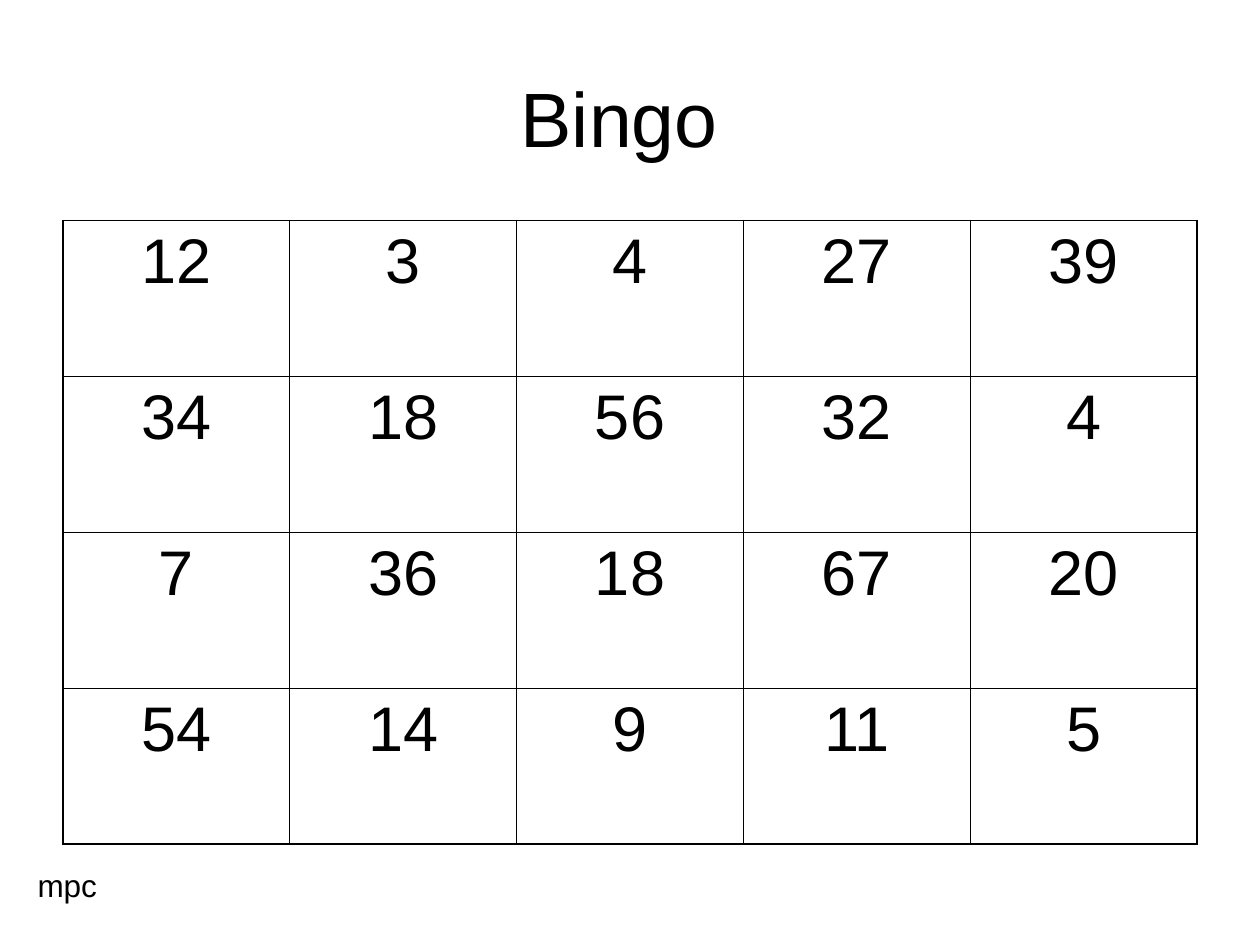
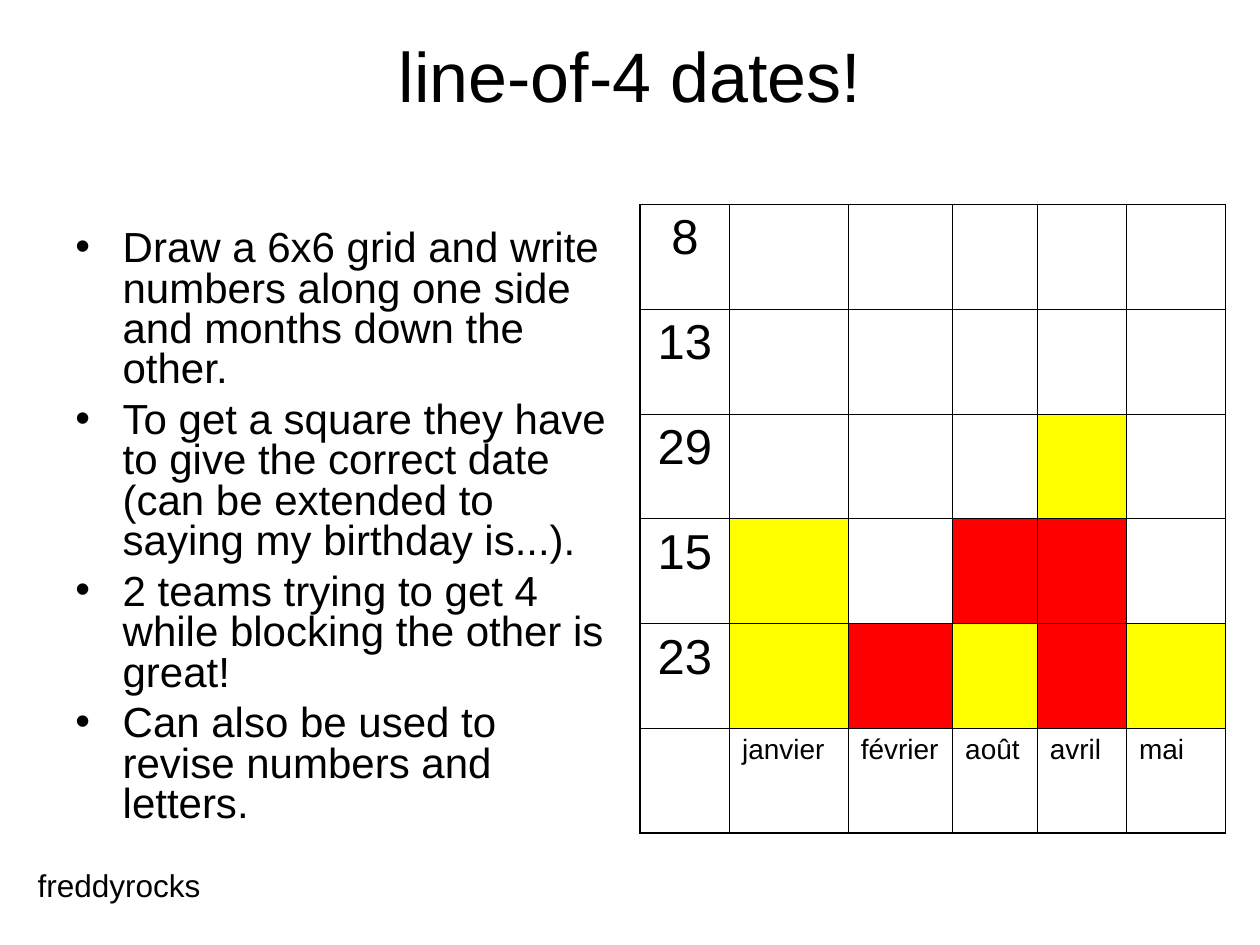
from lxml.etree import SubElement
from pptx import Presentation
from pptx.dml.color import RGBColor
from pptx.enum.text import MSO_ANCHOR as Anchor, MSO_AUTO_SIZE as AutoSize, PP_ALIGN as Align
from pptx.oxml.ns import qn
from pptx.util import Pt

COLOURS = {"ink": "000000", "paper": "FFFFFF", "yellow": "FFFF00", "red": "FF0000"}
FONT = "Arial"
OUTER, INNER = Pt(1.08), Pt(0.45)


def write(frame, lines, size, align=Align.LEFT, bulleted=False, **frame_format):
    for key, value in frame_format.items():
        setattr(frame, key, value)
    for index, line in enumerate(lines):
        paragraph = frame.paragraphs[0] if index == 0 else frame.add_paragraph()
        paragraph.alignment = align
        if bulleted:
            paragraph.line_spacing = 0.8
            paragraph.space_before = Pt(6 if index else 0)
            properties = paragraph._p.get_or_add_pPr()
            properties.set("marL", str(Pt(27)))
            properties.set("indent", str(Pt(-27)))
            SubElement(properties, qn("a:buFont"), typeface=FONT)
            SubElement(properties, qn("a:buChar"), char="•")
        run = paragraph.add_run()
        run.text = line
        for key, value in {"name": FONT, "size": Pt(size), "bold": False}.items():
            setattr(run.font, key, value)
        run.font.color.rgb = RGBColor.from_string(COLOURS["ink"])


def draw_grid(slide, rows, left, top, widths, row_height, sizes, fills):
    last_row, last_column = len(rows) - 1, len(widths) - 1
    grid = slide.shapes.add_table(
        len(rows), len(widths), Pt(left), Pt(top), Pt(sum(widths)), Pt(row_height * len(rows))
    ).table
    for flag in ("first_row", "horz_banding"):
        setattr(grid, flag, False)
    for column, width in zip(grid.columns, widths):
        column.width = Pt(width)
    for r, row in enumerate(rows):
        grid.rows[r].height = Pt(row_height)
        for c, entry in enumerate(row):
            square = grid.cell(r, c)
            if entry:
                size, align = sizes[r]
                write(square.text_frame, [entry], size, align)
            edges = {"L": c == 0, "R": c == last_column, "T": r == 0, "B": r == last_row}
            for side, is_outer in edges.items():
                border = SubElement(square._tc.get_or_add_tcPr(), qn(f"a:ln{side}"),
                                    w=str(OUTER if is_outer else INNER))
                SubElement(SubElement(border, qn("a:solidFill")), qn("a:srgbClr"),
                           val=COLOURS["ink"])
            square.fill.solid()
            square.fill.fore_color.rgb = RGBColor.from_string(COLOURS[fills.get((r, c), "paper")])


deck = Presentation()
deck.slide_width, deck.slide_height = Pt(720), Pt(540)

bingo_numbers = [
    ["12", "3", "4", "27", "39"],
    ["34", "18", "56", "32", "4"],
    ["7", "36", "18", "67", "20"],
    ["54", "14", "9", "11", "5"],
]
dates = ["8", "13", "29", "15", "23"]
months = ["janvier", "février", "août", "avril", "mai"]
date_rows = [[date] + [""] * len(months) for date in dates] + [[""] + months]
counters = {
    (2, 4): "yellow",
    (3, 1): "yellow", (3, 3): "red", (3, 4): "red",
    (4, 1): "yellow", (4, 2): "red", (4, 3): "yellow", (4, 4): "red", (4, 5): "yellow",
}
rules = [
    "Draw a 6x6 grid and write numbers along one side and months down the other.",
    "To get a square they have to give the correct date (can be extended to saying my birthday is...).",
    "2 teams trying to get 4 while blocking the other is great!",
    "Can also be used to revise numbers and letters.",
]

games = [
    {"heading": "Bingo ", "size": 44, "top": 21.6, "anchor": Anchor.MIDDLE, "inset": 3.6,
     "author": "mpc", "author_width": 48.2,
     "grid": {"rows": bingo_numbers, "left": 36, "top": 126, "widths": [129.6] * 5,
              "row_height": 89.1, "sizes": [(36, Align.CENTER)] * 4, "fills": {}}},
    {"heading": "line-of-4 dates!", "size": 40, "top": 18.8, "anchor": Anchor.TOP, "inset": 0,
     "author": "freddyrocks", "author_width": 107.3, "rules": rules,
     "grid": {"rows": date_rows, "left": 365.8, "top": 116.8,
              "widths": [51.1, 67.9, 59.6, 48.4, 51, 56.6], "row_height": 59.9,
              "sizes": [(28, Align.CENTER)] * 5 + [(16, Align.LEFT)], "fills": counters}},
]

for game in games:
    slide = deck.slides.add_slide(deck.slide_layouts[5])
    heading = slide.shapes.title
    for key, value in {"left": 36, "top": game["top"], "width": 648, "height": 90}.items():
        setattr(heading, key, Pt(value))
    write(heading.text_frame, [game["heading"]], game["size"], Align.CENTER,
          auto_size=AutoSize.NONE, word_wrap=True,
          vertical_anchor=game["anchor"], margin_top=Pt(game["inset"]))
    if "rules" in game:
        rules_box = slide.shapes.add_textbox(Pt(36), Pt(128.2), Pt(318.2), Pt(356.4))
        write(rules_box.text_frame, game["rules"], 24, bulleted=True, word_wrap=True)
    draw_grid(slide, **game["grid"])
    author = slide.shapes.add_textbox(Pt(14.4), Pt(491.5), Pt(game["author_width"]), Pt(28.8))
    write(author.text_frame, [game["author"]], 18,
          word_wrap=False, auto_size=AutoSize.SHAPE_TO_FIT_TEXT)

deck.save("out.pptx")
